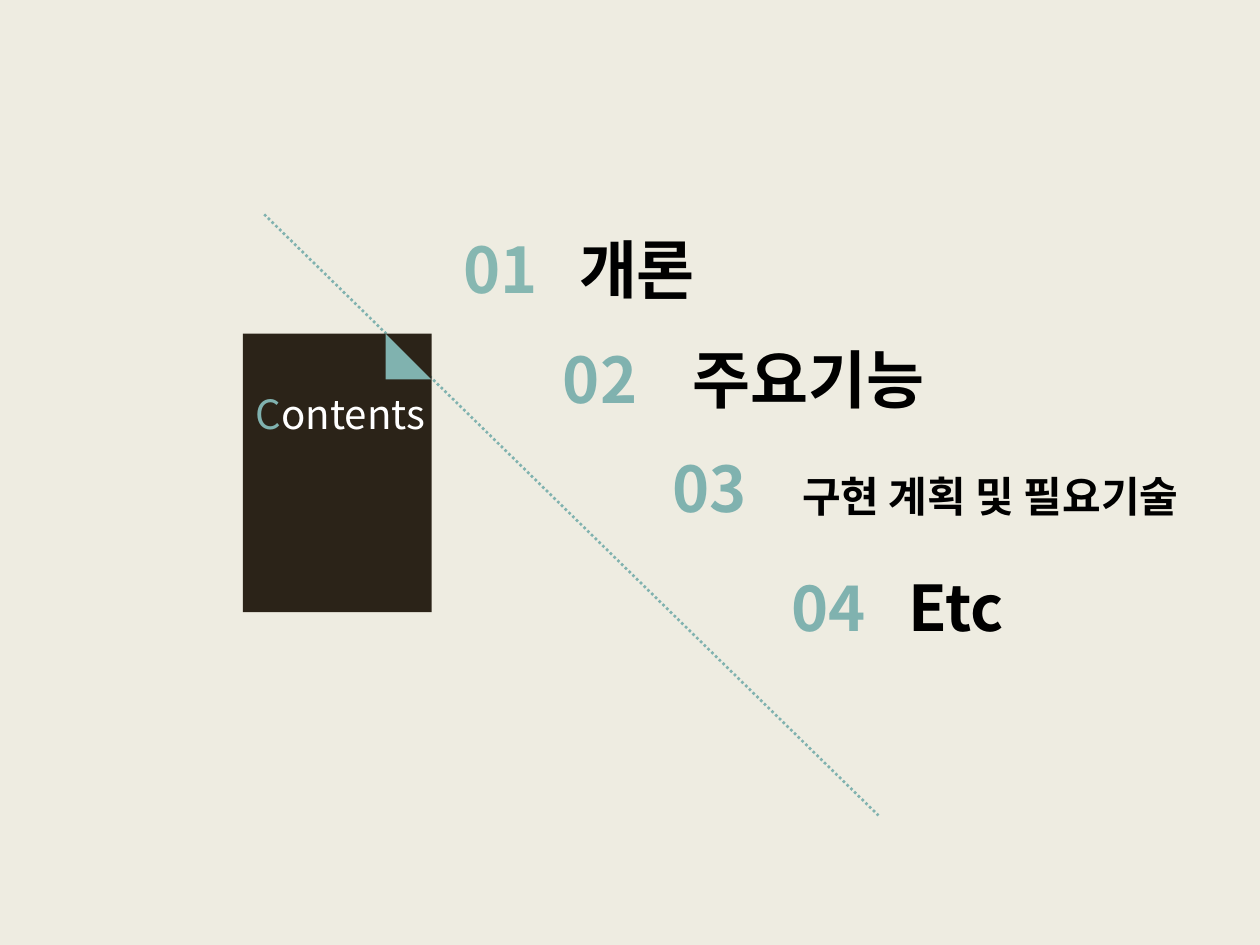
import pptx
import pptx.dml.color
import pptx.enum.dml
import pptx.enum.shapes
import pptx.oxml.ns
import pptx.util
import lxml.etree

Pt = pptx.util.Pt
Shape = pptx.enum.shapes.MSO_SHAPE
qn = pptx.oxml.ns.qn

TEAL = "80B2AF"
DARK = "2B2318"
CREAM = "EEECE1"


def color(value):
    return pptx.dml.color.RGBColor.from_string(value)


class ContentsSlide:
    font = "Noto Sans CJK KR"

    def __init__(self, deck, background):
        self.page = deck.slides.add_slide(deck.slide_layouts[6])
        fill = self.page.background.fill
        fill.solid()
        fill.fore_color.rgb = color(background)

    def dotted_line(self, start, end, stroke):
        line = self.page.shapes.add_connector(
            pptx.enum.shapes.MSO_CONNECTOR.STRAIGHT,
            *map(Pt, start), *map(Pt, end))
        line.line.color.rgb = color(stroke)
        line.line.width = Pt(1.5)
        line.line.dash_style = pptx.enum.dml.MSO_LINE.ROUND_DOT
        properties = line._element.find(qn("p:spPr"))
        lxml.etree.SubElement(properties, qn("a:effectLst"))

    def shape(self, kind, bounds, fill):
        shape = self.page.shapes.add_shape(kind, *map(Pt, bounds))
        shape.shadow.inherit = False
        shape.fill.solid()
        shape.fill.fore_color.rgb = color(fill)
        shape.line.fill.background()

    def text(self, bounds, spans, bold=False, tab=None):
        box = self.page.shapes.add_textbox(*map(Pt, bounds))
        box.text_frame.word_wrap = True
        para = box.text_frame.paragraphs[0]
        para.font.name = self.font
        para.font.bold = bold
        properties = para._p.get_or_add_pPr()
        latin = properties.find(qn("a:defRPr")).find(qn("a:latin"))
        east_asian = lxml.etree.Element(qn("a:ea"), typeface=self.font)
        latin.addnext(east_asian)
        if tab:
            stops = lxml.etree.Element(qn("a:tabLst"))
            lxml.etree.SubElement(
                stops, qn("a:tab"), pos=str(int(Pt(tab))), algn="l")
            properties.insert(0, stops)
        for words, size, ink in spans:
            span = para.add_run()
            span.text = words
            span.font.size = Pt(size)
            span.font.color.rgb = color(ink)


deck = pptx.Presentation()
deck.slide_width, deck.slide_height = Pt(720), Pt(540)
slide = ContentsSlide(deck, CREAM)

slide.dotted_line((151, 122.5), (502, 466), TEAL)
slide.shape(Shape.RECTANGLE, (138.8, 190.7, 107.8, 159.2), DARK)
slide.shape(Shape.RIGHT_TRIANGLE, (220.4, 190.7, 26.2, 26.2), TEAL)
slide.text((139, 219, 124.6, 36),
           [("C", 23, TEAL), ("ontents", 23, "FFFFFF")])

entries = [
    ("개론", 36, "86B7B1", 257.8, 128.2, 385, 66),
    ("주요기능", 36, TEAL, 314.6, 190.8, 385, 74),
    ("구현 계획 및 필요기술", 24, TEAL, 377.3, 253.4, 385, 74),
    ("Etc", 36, TEAL, 445, 321.1, 272, 67),
]
for number, (title, size, ink, left, top, width, tab) in enumerate(entries, 1):
    slide.text((left, top, width, 51),
               [(f"{number:02}\t", 36, ink), (title, size, "000000")],
               bold=True, tab=tab)

deck.save("out.pptx")
